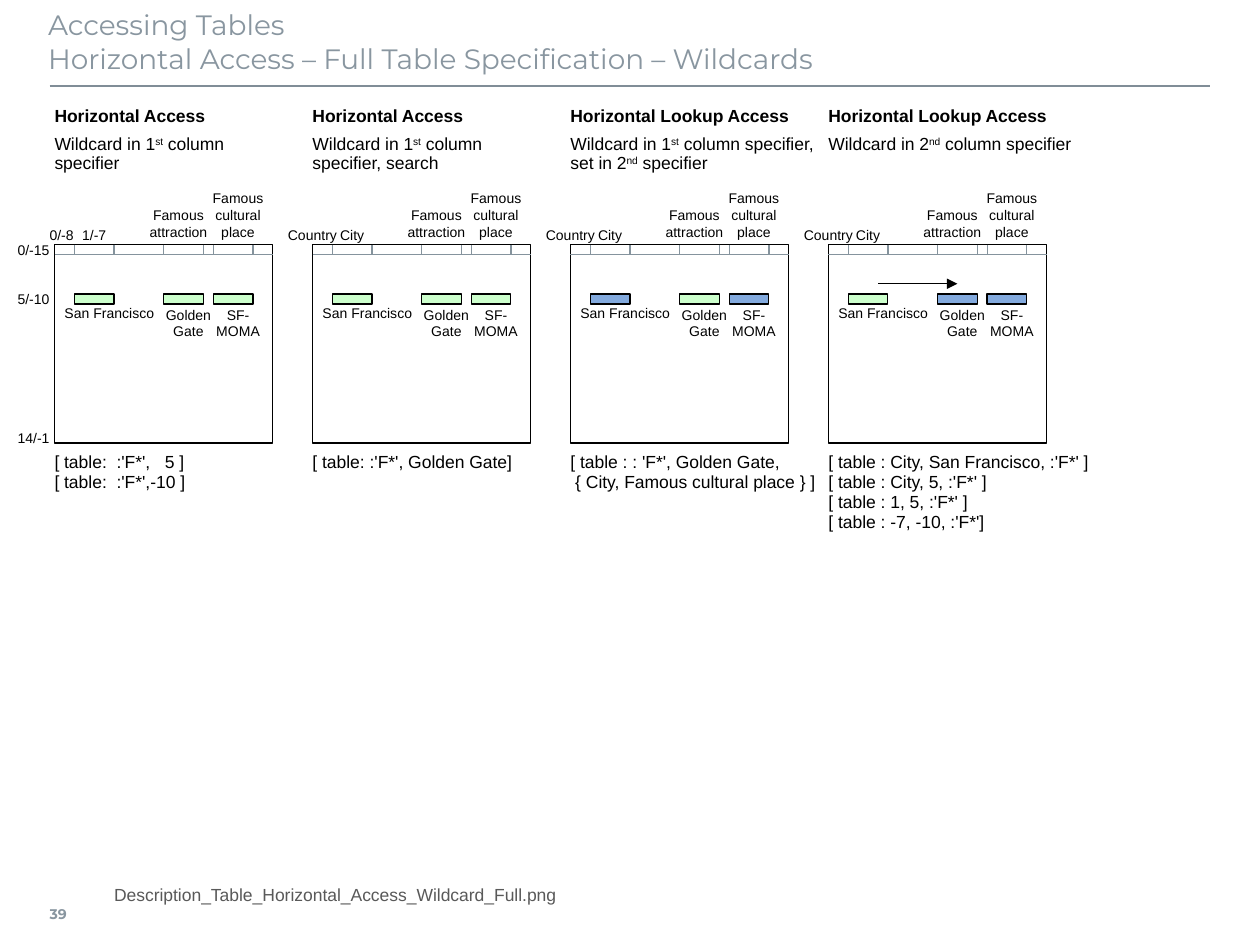
"""Build the slide on horizontal table access with wildcards."""
from pptx import Presentation
from pptx import util as u
from pptx.dml.color import RGBColor
from pptx.enum import shapes, text
from pptx.oxml import parse_xml
from pptx.oxml.ns import nsdecls

BLACK = RGBColor(0x00, 0x00, 0x00)
GREY = RGBColor(0x85, 0x93, 0x9D)
RULE = RGBColor(0x80, 0x8D, 0x97)
TITLE = RGBColor(0x89, 0x96, 0xA0)
FOOTER = RGBColor(0x59, 0x59, 0x59)
GREEN = RGBColor(0xCC, 0xFF, 0xCC)
BLUE = RGBColor(0x83, 0xAA, 0xDE)

LEFT, PITCH = 1.1, 5.2
TOP, WIDTH, HEIGHT = 4.93, 4.4, 4.0
ROW, CELL = 0.2, 0.8
CELL_TOP = TOP + 5 * ROW
CELL_OFFSETS = (0.4, 2.2, 3.2)
LABEL_WIDTH = 1.6
MIDDLE = text.MSO_ANCHOR.MIDDLE
CENTER, RIGHT = text.PP_ALIGN.CENTER, text.PP_ALIGN.RIGHT

PANELS = [
    ("Horizontal Access", ["Wildcard in 1^st^ column", "specifier"],
     ("0/-8", "1/-7"), (GREEN, GREEN, GREEN),
     ["[ table:  :'F*',   5 ]", "[ table:  :'F*',-10 ]"]),
    ("Horizontal Access", ["Wildcard in 1^st^ column", "specifier, search"],
     ("Country", "City"), (GREEN, GREEN, GREEN),
     ["[ table: :'F*', Golden Gate]"]),
    ("Horizontal Lookup Access",
     ["Wildcard in 1^st^ column specifier,", "set in 2^nd^ specifier"],
     ("Country", "City"), (BLUE, GREEN, BLUE),
     ["[ table : : 'F*', Golden Gate,", " { City, Famous cultural place } ]"]),
    ("Horizontal Lookup Access", ["Wildcard in 2^nd^ column specifier"],
     ("Country", "City"), (GREEN, BLUE, BLUE),
     ["[ table : City, San Francisco, :'F*' ]", "[ table : City, 5, :'F*' ]",
      "[ table : 1, 5, :'F*' ]", "[ table : -7, -10, :'F*']"]),
]


def apply(obj, values):
    """Set each named attribute of an object."""
    for name, value in values.items():
        setattr(obj, name, value)


def add_runs(p, line, font):
    """Add the runs of a line, with parts between carets as superscript."""
    for i, part in enumerate(line.split("^")):
        if part:
            r = p.add_run()
            r.text = part
            apply(r.font, {k: v for k, v in font.items() if k != "color"})
            r.font.color.rgb = font["color"]
            if i % 2:
                r.font._element.set("baseline", "30000")


def fill_text(tf, lines, font, frame, para):
    """Write lines as paragraphs; a newline in a line is a line break."""
    apply(tf, frame)
    for i, line in enumerate(lines):
        p = tf.paragraphs[0] if i == 0 else tf.add_paragraph()
        apply(p, para)
        for j, part in enumerate(line.split("\n")):
            if j:
                p.add_line_break()
            add_runs(p, part, font)


def add_text(s, box, lines, size=10, inset=0, anchor=MIDDLE, para=None, **font):
    """Add an unwrapped text box."""
    sp = s.shapes.add_textbox(*map(u.Cm, box))
    frame = {f"margin_{side}": u.Cm(inset) for side in ("left", "top", "right", "bottom")}
    frame.update(word_wrap=False, vertical_anchor=anchor)
    font = {"name": "Arial", "size": u.Pt(size), "color": BLACK, **font}
    fill_text(sp.text_frame, lines, font, frame, para or {})


def add_label(s, x, y, w, h, label, align=CENTER):
    """Add a small row or column label."""
    add_text(s, (x, y, w, h), [label], 8, 0.1, para={"alignment": align})


def add_rect(s, x, y, w, h, fill=None):
    """Add a black outlined rectangle."""
    sp = s.shapes.add_shape(shapes.MSO_SHAPE.RECTANGLE, *map(u.Cm, (x, y, w, h)))
    sp.shadow.inherit = False
    if fill is None:
        sp.fill.background()
    else:
        sp.fill.solid()
        sp.fill.fore_color.rgb = fill
    sp.line.color.rgb = BLACK
    sp.line.width = u.Pt(0.75)


def add_line(s, x1, y1, x2, y2, color=GREY, width=0.75, arrow=False):
    """Add a straight line, with an arrowhead at its end if asked."""
    sp = s.shapes.add_connector(shapes.MSO_CONNECTOR.STRAIGHT, *map(u.Cm, (x1, y1, x2, y2)))
    sp.line.color.rgb = color
    sp.line.width = u.Pt(width)
    if arrow:
        sp.line._get_or_add_ln().append(parse_xml(f'<a:tailEnd {nsdecls("a")} type="triangle"/>'))
    sp._element.spPr.append(parse_xml(f'<a:effectLst {nsdecls("a")}/>'))


def add_title(s):
    """Place and format the title and the rule below it."""
    sp = s.shapes.title
    apply(sp, dict(left=u.Cm(0.97), top=u.Cm(0.03), width=u.Cm(23.4), height=u.Cm(1.6)))
    frame = dict(margin_left=0, margin_top=u.Cm(0.13), margin_bottom=u.Cm(0.13),
                 vertical_anchor=text.MSO_ANCHOR.TOP, auto_size=text.MSO_AUTO_SIZE.NONE)
    font = dict(name="Montserrat", size=u.Pt(16), color=TITLE)
    title = "Accessing Tables\nHorizontal Access – Full Table Specification – Wildcards"
    fill_text(sp.text_frame, [title], font, frame, {"alignment": text.PP_ALIGN.LEFT})
    add_line(s, 1, 1.73, 24.4, 1.73, RULE, 1)


def add_column_labels(s, x, heads):
    """Add the labels above the columns of one table."""
    for center, head in zip((0, 0.8), heads):
        if head == "0/-8":
            add_label(s, x - 0.2, TOP - 0.4, 0.8, 0.4, head, text.PP_ALIGN.LEFT)
        else:
            add_label(s, x + center - LABEL_WIDTH / 2, TOP - 0.4, LABEL_WIDTH, 0.4, head)
    for center, y, label in ((2.5, 4.1, "Famous\nattraction"),
                             (3.7, 3.93, "Famous\ncultural\nplace")):
        add_label(s, x + center - LABEL_WIDTH / 2, y, LABEL_WIDTH, 0.8, label)


def add_table_sketch(s, x, heads, fills):
    """Draw one table outline with its header ticks, labels and cells."""
    add_rect(s, x, TOP, WIDTH, HEIGHT)
    add_line(s, x, TOP + ROW, x + WIDTH, TOP + ROW)
    for dx, fill in zip(CELL_OFFSETS, fills):
        for tick in (x + dx, x + dx + CELL):
            add_line(s, tick, TOP, tick, TOP + ROW)
        add_rect(s, x + dx, CELL_TOP, CELL, ROW, fill)
    add_column_labels(s, x, heads)
    tight = {"line_spacing": 0.95}
    add_text(s, (x + 0.2, CELL_TOP + ROW, 2.6, 0.4), ["San Francisco"], 8, para=tight)
    for dx, lines in zip(CELL_OFFSETS[1:], (["Golden", "Gate"], ["SF-\nMOMA"])):
        add_text(s, (x + dx, CELL_TOP + 2 * ROW, 1, 0.4), lines, 8,
                 para={"alignment": CENTER, **tight})


def add_panel(s, x, heading, description, heads, fills, code):
    """Add one access variant: heading, description, table and code."""
    top = text.MSO_ANCHOR.TOP
    add_text(s, (x, 2.13, PITCH, 0.4), [heading], bold=True)
    add_text(s, (x, 2.73, PITCH, 1), description, anchor=top, para={"line_spacing": 0.9})
    add_table_sketch(s, x, heads, fills)
    add_text(s, (x, 9.13, 5.6, 1.4), code, anchor=top, para={"line_spacing": 0.95})


def main():
    """Build and save the presentation."""
    prs = Presentation()
    apply(prs, {"slide_width": u.Cm(25.4), "slide_height": u.Cm(19.05)})
    s = prs.slides.add_slide(prs.slide_layouts[5])
    add_title(s)
    for i, panel in enumerate(PANELS):
        add_panel(s, LEFT + i * PITCH, *panel)
    for row, label in ((0, "0/-15"), (5, "5/-10"), (19, "14/-1")):
        add_label(s, 0, TOP + row * ROW, LEFT, ROW, label, RIGHT)
    last = LEFT + 3 * PITCH
    add_line(s, last + 1, 5.72, last + 2.6, 5.72, BLACK, arrow=True)
    add_text(s, (2.3, 17.53, 16.6, 1), ["Description_Table_Horizontal_Access_Wildcard_Full.png"],
             color=FOOTER)
    add_text(s, (1, 17.93, 0.9, 1), ["39"], 8, name="Montserrat", color=TITLE, bold=True)
    prs.save("out.pptx")


if __name__ == "__main__":
    main()
